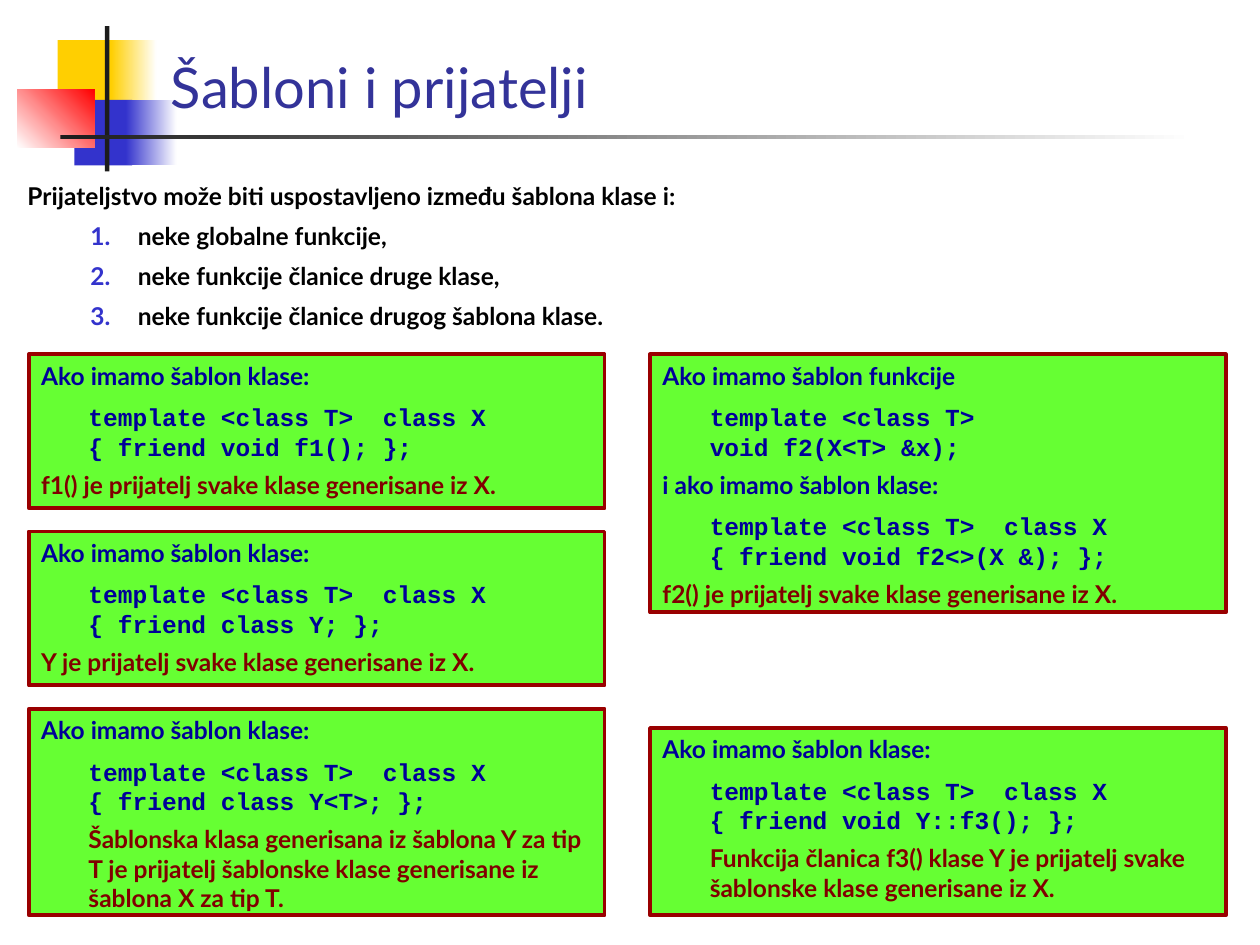
from lxml.etree import SubElement
from pptx import Presentation
from pptx.dml.color import RGBColor
from pptx.enum.shapes import MSO_SHAPE
from pptx.enum.text import MSO_ANCHOR, MSO_AUTO_SIZE, PP_ALIGN
from pptx.oxml.ns import qn
from pptx.util import Pt

LATO = "Lato"
COURIER = "Courier New"
NAVY = "000099"
MAROON = "800000"
INDENT = 27
LEFT, RIGHT = 16.5, 371.5
BOX_WIDTH = 329
CLASS_HEADING = ("heading", "Ako imamo šablon klase:")
CLASS_TEMPLATE = ("code", "template <class T>  class X")

STYLES = {
    "heading": (LATO, NAVY, 0, 5),
    "code": (COURIER, NAVY, INDENT, 7),
    "code_next": (COURIER, NAVY, INDENT, 0),
    "result": (LATO, MAROON, 0, 5),
    "indented_result": (LATO, MAROON, INDENT, 5),
}

DECORATIONS = [
    (33, 23, 35, 37.5, ["FFCF01"], 0),
    (63.5, 23, 26, 37.5, ["FFCF01", "FFFFFF"], 0),
    (42.5, 57, 33, 37.5, ["3333CC"], 0),
    (72, 57, 29, 37.5, ["3333CC", "FFFFFF"], 0),
    (10, 51, 44, 33.5, ["FFFFFF", "FF0000"], 45),
    (60, 15, 2.5, 83, ["1C1C1C"], 0),
    (34.5, 77, 648, 2.5, ["1C1C1C", "FFFFFF"], 0),
]

BOXES = [
    (LEFT, 202.5, 88, [
        CLASS_HEADING,
        CLASS_TEMPLATE,
        ("code_next", "{ friend void f1(); };"),
        ("result", "f1() je prijatelj svake klase generisane iz X."),
    ]),
    (RIGHT, 202.5, 147.5, [
        ("heading", "Ako imamo šablon funkcije"),
        ("code", "template <class T>"),
        ("code_next", "void f2(X<T> &x);"),
        ("heading", "i ako imamo šablon klase:"),
        CLASS_TEMPLATE,
        ("code_next", "{ friend void f2<>(X &); };"),
        ("result", "f2() je prijatelj svake klase generisane iz X."),
    ]),
    (LEFT, 303.75, 88, [
        CLASS_HEADING,
        CLASS_TEMPLATE,
        ("code_next", "{ friend class Y; };"),
        ("result", "Y je prijatelj svake klase generisane iz X."),
    ]),
    (LEFT, 405, 118, [
        CLASS_HEADING,
        CLASS_TEMPLATE,
        ("code_next", "{ friend class Y<T>; };"),
        ("indented_result", "Šablonska klasa generisana iz šablona Y za tip T je prijatelj "
                            "šablonske klase generisane iz šablona X za tip T."),
    ]),
    (RIGHT, 416, 107, [
        CLASS_HEADING,
        CLASS_TEMPLATE,
        ("code_next", "{ friend void Y::f3(); };"),
        ("indented_result", "Funkcija članica f3() klase Y je prijatelj svake "
                            "šablonske klase generisane iz X."),
    ]),
]

INTRODUCTION = "Prijateljstvo može biti uspostavljeno između šablona klase i:"
FRIENDS = [
    "neke globalne funkcije,",
    "neke funkcije članice druge klase,",
    "neke funkcije članice drugog šablona klase.",
]


def color(value):
    return RGBColor.from_string(value)


def place(shape, left, top, width, height):
    shape.left, shape.top = Pt(left), Pt(top)
    shape.width, shape.height = Pt(width), Pt(height)


def bring_to_front(shape):
    shape.element.getparent().append(shape.element)


def format_font(paragraph, name, size, value, bold):
    font = paragraph.font
    font.name = name
    font.size = Pt(size)
    font.bold = bold
    font.color.rgb = color(value)


def set_indent(paragraph, margin, first_line=0):
    properties = paragraph._p.get_or_add_pPr()
    properties.set("marL", str(Pt(margin)))
    properties.set("indent", str(Pt(first_line)))
    return properties


def add_rectangle(slide, left, top, width, height):
    shape = slide.shapes.add_shape(
        MSO_SHAPE.RECTANGLE, Pt(left), Pt(top), Pt(width), Pt(height))
    shape.shadow.inherit = False
    return shape


def add_decoration(slide, left, top, width, height, colors, angle):
    shape = add_rectangle(slide, left, top, width, height)
    shape.line.fill.background()
    if len(colors) == 1:
        shape.fill.solid()
        shape.fill.fore_color.rgb = color(colors[0])
        return
    shape.fill.gradient()
    shape.fill.gradient_angle = angle
    for stop, value in zip(shape.fill.gradient_stops, colors):
        stop.color.rgb = color(value)


def fill_title(title):
    place(title, 90.5, 9.5, 629.5, 62.5)
    frame = title.text_frame
    frame.auto_size = MSO_AUTO_SIZE.NONE
    frame.vertical_anchor = MSO_ANCHOR.BOTTOM
    frame.text = "Šabloni i prijatelji"
    paragraph = frame.paragraphs[0]
    paragraph.alignment = PP_ALIGN.LEFT
    format_font(paragraph, LATO, 32, "333399", False)
    bring_to_front(title)


def fill_list(body):
    place(body, 8.5, 100, 448, 108)
    frame = body.text_frame
    frame.auto_size = MSO_AUTO_SIZE.NONE
    frame.text = "\n".join([INTRODUCTION] + FRIENDS)
    for index, paragraph in enumerate(frame.paragraphs):
        if index == 0:
            SubElement(set_indent(paragraph, 0), qn("a:buNone"))
        else:
            paragraph.level = 1
            properties = set_indent(paragraph, 63, -INDENT)
            bullet_color = SubElement(properties, qn("a:buClr"))
            SubElement(bullet_color, qn("a:srgbClr"), val="3333CC")
            SubElement(properties, qn("a:buFont"), typeface=LATO)
            SubElement(properties, qn("a:buAutoNum"), type="arabicPeriod")
        paragraph.space_before = Pt(6 if index else 0)
        format_font(paragraph, LATO, 14, "000000", True)
    bring_to_front(body)


def add_code_box(slide, left, top, height, lines):
    box = add_rectangle(slide, left, top, BOX_WIDTH, height)
    box.fill.solid()
    box.fill.fore_color.rgb = color("66FF33")
    box.line.color.rgb = color("990000")
    box.line.width = Pt(2.25)
    frame = box.text_frame
    frame.word_wrap = True
    frame.vertical_anchor = MSO_ANCHOR.TOP
    frame.text = "\n".join(text for _, text in lines)
    for index, (paragraph, (style, _)) in enumerate(zip(frame.paragraphs, lines)):
        font_name, value, margin, space = STYLES[style]
        set_indent(paragraph, margin)
        paragraph.alignment = PP_ALIGN.LEFT
        paragraph.space_before = Pt(space if index else 0)
        format_font(paragraph, font_name, 14, value, True)


def main():
    presentation = Presentation()
    presentation.slide_width, presentation.slide_height = Pt(720), Pt(540)
    slide = presentation.slides.add_slide(presentation.slide_layouts[1])
    for decoration in DECORATIONS:
        add_decoration(slide, *decoration)
    fill_title(slide.shapes.title)
    fill_list(slide.placeholders[1])
    for box in BOXES:
        add_code_box(slide, *box)
    presentation.save("out.pptx")


if __name__ == "__main__":
    main()
